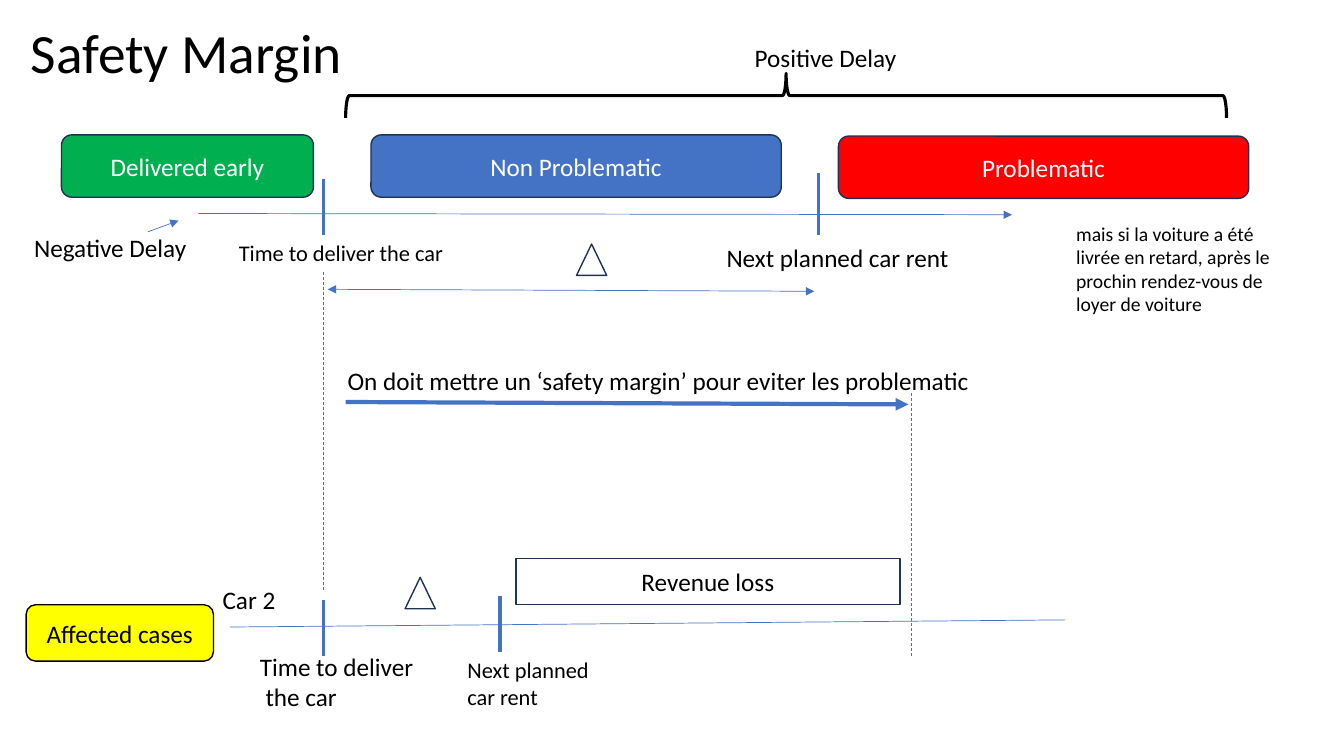
from dataclasses import dataclass

from lxml import etree
from pptx import Presentation
from pptx.dml.color import RGBColor
from pptx.enum.dml import MSO_LINE
from pptx.enum.shapes import MSO_CONNECTOR, MSO_SHAPE
from pptx.enum.text import MSO_ANCHOR, MSO_AUTO_SIZE, PP_ALIGN
from pptx.oxml.ns import qn
from pptx.util import Cm, Pt

STRAIGHT = MSO_CONNECTOR.STRAIGHT
ROUNDED, RECTANGLE = MSO_SHAPE.ROUNDED_RECTANGLE, MSO_SHAPE.RECTANGLE
TRIANGLE, BRACE = MSO_SHAPE.ISOSCELES_TRIANGLE, MSO_SHAPE.LEFT_BRACE
MIDDLE, TOP = MSO_ANCHOR.MIDDLE, MSO_ANCHOR.TOP
LEFT, CENTER = PP_ALIGN.LEFT, PP_ALIGN.CENTER
GROW, FIXED = MSO_AUTO_SIZE.SHAPE_TO_FIT_TEXT, MSO_AUTO_SIZE.NONE
DASH = MSO_LINE.DASH


@dataclass(frozen=True)
class Theme:
    font: str = "Calibri"
    ink: str = "000000"
    paper: str = "FFFFFF"
    blue: str = "4472C4"
    navy: str = "1E3256"
    green: str = "00B050"
    red: str = "FF0000"
    yellow: str = "FFFF00"
    title: float = 39.6
    body: float = 18
    small: float = 16
    note: float = 14
    thin: float = 0.5
    outline: float = 1
    mark: float = 2.25
    heavy: float = 3


def apply(target, values):
    for name, value in values.items():
        setattr(target, name, value)


class Board:
    def __init__(self, slide, theme):
        self.slide = slide
        self.theme = theme
        self.shapes = slide.shapes

    def group(self):
        self.shapes = self.slide.shapes.add_group_shape().shapes

    def ungroup(self):
        self.shapes = self.slide.shapes

    def fill_text(self, frame, words, size, color, align=LEFT, spacing=None):
        frame.text = words
        for paragraph in frame.paragraphs:
            apply(paragraph, {"alignment": align, "line_spacing": spacing})
            apply(paragraph.font, {"name": self.theme.font, "size": Pt(size)})
            paragraph.font.color.rgb = RGBColor.from_string(color)

    def text(self, words, box, size=None, wrap=False, **title):
        frame = self.shapes.add_textbox(*map(Cm, box)).text_frame
        apply(frame, {"word_wrap": wrap, "auto_size": FIXED if title else GROW,
                      "vertical_anchor": MIDDLE if title else TOP})
        self.fill_text(frame, words, size or self.theme.body, self.theme.ink, **title)

    def shape(self, kind, box, fill=None, line=None, width=None, words="",
              color=None, rotation=0):
        shape = self.shapes.add_shape(kind, *map(Cm, box))
        shape.rotation = rotation
        shape.shadow.inherit = False
        if fill:
            shape.fill.solid()
            shape.fill.fore_color.rgb = RGBColor.from_string(fill)
        else:
            shape.fill.background()
        shape.line.color.rgb = RGBColor.from_string(line or self.theme.navy)
        shape.line.width = Pt(width or self.theme.outline)
        if words:
            apply(shape.text_frame, {"word_wrap": True, "vertical_anchor": MIDDLE})
            self.fill_text(shape.text_frame, words, self.theme.body,
                           color or self.theme.ink, CENTER)

    def line(self, start, end, width=None, dash=None, arrows=()):
        connector = self.shapes.add_connector(STRAIGHT, *map(Cm, start + end))
        connector.line.color.rgb = RGBColor.from_string(self.theme.blue)
        apply(connector.line, {"width": Pt(width or self.theme.thin), "dash_style": dash})
        outline = connector.line.fill._xPr
        for arrow in arrows:
            etree.SubElement(outline, qn(f"a:{arrow}"), type="triangle")
        etree.SubElement(outline.getparent(), qn("a:effectLst"))

    def mark(self, x, top, bottom):
        self.line((x, top), (x, bottom), self.theme.mark)

    def delta(self, x, y):
        self.shape(TRIANGLE, (x, y, 0.76, 0.79))


theme = Theme()
deck = Presentation()
apply(deck, {"slide_width": Cm(33.87), "slide_height": Cm(19.05)})
board = Board(deck.slides.add_slide(deck.slide_layouts[6]), theme)

delivery_x, next_rent_x, margin_end_x, car_2_rent_x = 8.15, 20.62, 22.96, 12.6
forward, both_ways = ("tailEnd",), ("headEnd", "tailEnd")

board.text("Safety Margin", (0.53, 0.48, 29.21, 1.83), theme.title, True, spacing=0.9)

for words, left, top, width, fill in (
    ("Delivered early", 1.55, 3.4, 6.35, theme.green),
    ("Non Problematic", 9.35, 3.4, 10.34, theme.blue),
    ("Problematic", 21.13, 3.43, 10.34, theme.red),
):
    board.shape(ROUNDED, (left, top, width, 1.57), fill, words=words, color=theme.paper)

board.shape(BRACE, (19.25, -8.69, 1.12, 22.2), line=theme.ink, width=theme.mark, rotation=90)
board.text("Positive Delay", (18.77, 0.94, 4.11, 1.02))

board.line((5, 5.38), (25.5, 5.41), arrows=forward)
board.mark(delivery_x, 4.5, 5.92)
board.mark(next_rent_x, 4.37, 5.92)
board.text("Negative Delay", (0.61, 5.74, 4.39, 1.02))
board.line((3.73, 5.84), (4.5, 5.56), arrows=forward)
board.text("Time to deliver the car", (5.77, 5.89, 6.2, 0.94), theme.small, True)
board.text("Next planned car rent", (18.06, 5.99, 6.17, 1.02))
board.text("mais si la voiture a été livrée en retard, après le prochin "
           "rendez-vous de loyer de voiture", (26.87, 5.46, 6.2, 2.64), theme.note, True)
board.line((8.26, 7.29), (20.52, 7.34), arrows=both_ways)
board.delta(14.53, 6.15)

board.line((delivery_x, 6.86), (delivery_x, 14.86), dash=DASH)
board.line((8.71, 10.13), (22.89, 10.19), theme.heavy, arrows=forward)
board.text("On doit mettre un ‘safety margin’ pour eviter les problematic",
           (8.51, 9.07, 17.22, 1.02), wrap=True)
board.shape(RECTANGLE, (13, 14.07, 9.68, 1.17), words="Revenue loss")
board.line((margin_end_x, 9.91), (margin_end_x, 16.54), dash=DASH)

board.group()
board.line((5.79, 15.8), (26.85, 15.62))
board.mark(delivery_x, 15.11, 16.54)
board.mark(car_2_rent_x, 15.01, 16.43)
board.text("Time to deliver\n the car", (6.3, 16.28, 4.42, 1.8))
board.text("Car 2", (5.36, 14.61, 1.85, 1.02))
board.delta(10.21, 14.55)
board.text("Next planned \ncar rent", (11.53, 16.41, 3.73, 1.63), theme.small)
board.shape(ROUNDED, (0.66, 15.24, 4.72, 1.42), theme.yellow, theme.ink, words="Affected cases")
board.ungroup()

deck.save("out.pptx")
